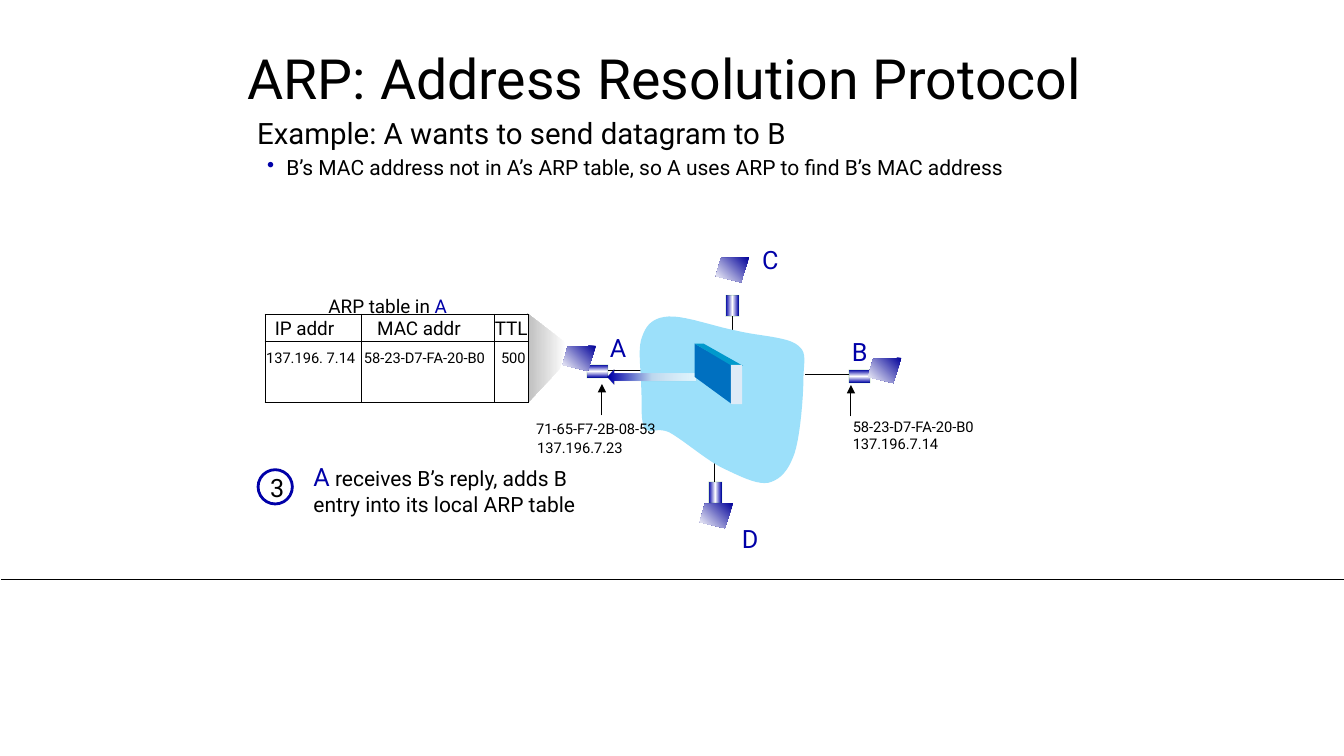
from dataclasses import dataclass

from lxml.etree import SubElement
from pptx import Presentation
from pptx.dml.color import RGBColor
from pptx.enum.shapes import MSO_CONNECTOR, MSO_SHAPE as Preset
from pptx.enum.text import MSO_ANCHOR as Anchor, PP_ALIGN as Align
from pptx.oxml.ns import qn
from pptx.util import Inches, Pt

BLACK = RGBColor(0x00, 0x00, 0x00)
WHITE = RGBColor(0xFF, 0xFF, 0xFF)
NAVY = RGBColor(0x00, 0x00, 0xA8)
MONITOR_BLUE = RGBColor(0x00, 0x00, 0x99)
GREEN = RGBColor(0x00, 0x80, 0x00)
CLOUD_BLUE = RGBColor(0x9C, 0xE0, 0xFA)
PALE_BLUE = RGBColor(0xBD, 0xD7, 0xEE)
ICE_BLUE = RGBColor(0xDE, 0xEB, 0xF7)
FRONT_BLUE = RGBColor(0x00, 0x70, 0xC0)
TOP_BLUE = RGBColor(0x00, 0x99, 0xCC)
GRAY = RGBColor(0xBF, 0xBF, 0xBF)
FONT = "Roboto"

Point = tuple[float, float]
Box = tuple[float, float, float, float]


@dataclass
class Stop:
    percent: int
    color: RGBColor
    alpha: int = 100


@dataclass
class Gradient:
    stops: list[Stop]
    angle: int = 0  # clockwise degrees


@dataclass
class Wire:
    start: Point
    end: Point
    width: float = 0.75
    arrow: bool = False


@dataclass
class Host:
    name: str
    name_at: Point
    monitor_at: Point
    adapter_at: Point
    adapter_turn: int


@dataclass
class Label:
    text: str
    at: Box


ADAPTER_FILL = Gradient([Stop(0, NAVY), Stop(50, WHITE), Stop(99, NAVY)])
MONITOR_FILL = Gradient([Stop(0, MONITOR_BLUE), Stop(100, WHITE)], 135)
ZOOM_FILL = Gradient([Stop(0, WHITE), Stop(99, GRAY)], 180)
ARROW_FILL = Gradient([Stop(0, WHITE, 68), Stop(50, PALE_BLUE), Stop(98, NAVY)])

WIRES = [
    Wire((0.01, 5.75), (13.33, 5.75), 0.5),
    Wire((5.81, 3.68), (6.55, 3.68)),
    Wire((7.27, 2.93), (7.27, 3.47)),
    Wire((7.09, 4.89), (7.09, 4.53)),
    Wire((8.64, 3.72), (7.98, 3.72)),
    Wire((8.44, 4.13), (8.44, 3.82), arrow=True),
    Wire((5.97, 4.12), (5.97, 3.81), arrow=True),
]
HOSTS = [
    Host("C", (7.46, 2.37), (7.1, 2.55), (7.2, 2.93), 0),
    Host("D", (7.26, 5.14), (6.94, 4.99), (7.03, 4.78), 0),
    Host("B", (8.35, 3.29), (8.61, 3.55), (8.46, 3.63), 90),
    Host("A", (5.95, 3.25), (5.58, 3.43), (5.86, 3.58), 90),
]
ADDRESSES = [
    Label("58-23-D7-FA-20-B0", (8.36, 4.1, 1.5, 0.28)),
    Label("137.196.7.14", (8.36, 4.26, 1.06, 0.28)),
    Label("71-65-F7-2B-08-53", (5.22, 4.12, 1.46, 0.28)),
    Label("137.196.7.23", (5.23, 4.3, 1.06, 0.28)),
]
MONITOR = [(0.33, 0), (0.05, 0.01), (0, 0.19), (0.25, 0.25)]
CLOUD_START = (6.63, 3.14)
CLOUD_CURVES = [
    ((6.48, 3.15), (6.41, 3.22), (6.37, 3.34)),
    ((6.32, 3.45), (6.36, 3.68), (6.36, 3.83)),
    ((6.37, 3.98), (6.35, 4.16), (6.39, 4.24)),
    ((6.44, 4.32), (6.51, 4.23), (6.64, 4.29)),
    ((6.77, 4.36), (7, 4.56), (7.16, 4.64)),
    ((7.33, 4.72), (7.5, 4.81), (7.62, 4.79)),
    ((7.74, 4.76), (7.82, 4.67), (7.88, 4.5)),
    ((7.94, 4.32), (7.97, 3.91), (7.97, 3.72)),
    ((7.98, 3.54), (8, 3.48), (7.89, 3.41)),
    ((7.78, 3.34), (7.5, 3.33), (7.3, 3.28)),
    ((7.09, 3.24), (6.79, 3.13), CLOUD_START),
]


def paint(shape, fill: RGBColor | Gradient) -> None:
    shape.shadow.inherit = False
    shape.line.fill.background()
    if isinstance(fill, RGBColor):
        shape.fill.solid()
        shape.fill.fore_color.rgb = fill
        return
    shape.fill.gradient()
    shape.fill.gradient_angle = -fill.angle % 360
    stops = shape.element.spPr.find(".//" + qn("a:gsLst"))
    stops.clear()
    for stop in fill.stops:
        mark = SubElement(stops, qn("a:gs"), pos=str(stop.percent * 1000))
        color = SubElement(mark, qn("a:srgbClr"), val=str(stop.color))
        if stop.alpha < 100:
            SubElement(color, qn("a:alpha"), val=str(stop.alpha * 1000))


def outline(shape, color: RGBColor, width: float) -> None:
    shape.line.color.rgb = color
    shape.line.width = Pt(width)


def add_preset(page, preset, at: Box, fill, turn: int = 0):
    shape = page.shapes.add_shape(preset, *map(Inches, at))
    shape.rotation = turn
    paint(shape, fill)
    return shape


def add_outline(page, points: list[Point], fill) -> None:
    corners = [(Inches(x), Inches(y)) for x, y in points]
    builder = page.shapes.build_freeform(*corners[0])
    builder.add_line_segments(corners[1:], close=True)
    paint(builder.convert_to_shape(), fill)


def trace_curves(start: Point, curves, steps: int = 10) -> list[Point]:
    points = [start]
    for first, second, end in curves:
        for step in range(1, steps + 1):
            t = step / steps
            weights = ((1 - t) ** 3, 3 * t * (1 - t) ** 2, 3 * t * t * (1 - t), t ** 3)
            points.append(tuple(sum(w * p[axis] for w, p in zip(weights, (start, first, second, end)))
                                for axis in (0, 1)))
        start = end
    return points


def add_wire(page, wire: Wire) -> None:
    line = page.shapes.add_connector(MSO_CONNECTOR.STRAIGHT, *map(Inches, wire.start + wire.end))
    outline(line, BLACK, wire.width)
    properties = line.element.spPr
    if wire.arrow:
        SubElement(properties.find(qn("a:ln")), qn("a:tailEnd"), type="triangle")
    SubElement(properties, qn("a:effectLst"))


def add_span(para, text: str, *, size: float, color: RGBColor = BLACK) -> None:
    span = para.add_run()
    span.text = text
    span.font.name, span.font.size, span.font.color.rgb = FONT, Pt(size), color


def add_text(page, at: Box, text: str, *, size: float, color: RGBColor = BLACK,
             align=Align.LEFT, wrap: bool = False, anchor=Anchor.TOP):
    frame = page.shapes.add_textbox(*map(Inches, at)).text_frame
    frame.word_wrap, frame.vertical_anchor = wrap, anchor
    para = frame.paragraphs[0]
    para.alignment = align
    add_span(para, text, size=size, color=color)
    return frame


def add_host(page, host: Host) -> None:
    adapter = add_preset(page, Preset.RECTANGLE, (*host.adapter_at, 0.13, 0.21), ADAPTER_FILL, host.adapter_turn)
    outline(adapter, GREEN, 0.75)
    line_color = adapter.element.spPr.find(qn("a:ln")).find(".//" + qn("a:srgbClr"))
    SubElement(line_color, qn("a:alpha"), val="15000")
    left, top = host.monitor_at
    add_outline(page, [(left + x, top + y) for x, y in MONITOR], MONITOR_FILL)
    add_text(page, (*host.name_at, 0.38, 0.4), host.name, size=18, color=NAVY)


def format_cell(cell, text: str, *, size: float, align, margins: Box, borders: dict[str, float]) -> None:
    cell.margin_left, cell.margin_top, cell.margin_right, cell.margin_bottom = map(Inches, margins)
    cell.fill.solid()
    cell.fill.fore_color.rgb = WHITE
    para = cell.text_frame.paragraphs[0]
    para.alignment = align
    add_span(para, text, size=size)
    properties = cell._tc.get_or_add_tcPr()
    for place, (side, width) in enumerate(borders.items()):
        line = SubElement(properties, qn(f"a:ln{side}"), w=str(Pt(width)))
        SubElement(SubElement(line, qn("a:solidFill")), qn("a:srgbClr"), val=str(BLACK))
        properties.insert(place, line)


def add_arp_table(page) -> None:
    rows = [["IP addr", "MAC addr", "TTL"], ["137.196. 7.14", "58-23-D7-FA-20-B0", "500"]]
    widths, heights = [0.95, 1.32, 0.34], [0.26, 0.61]
    header_right, entry_left = [0.17, 0.17, 0], [0.01, 0.03, 0.07]
    table = page.shapes.add_table(2, 3, *map(Inches, (2.63, 3.12, sum(widths), sum(heights)))).table
    table.first_row = table.horz_banding = False
    for row, height in zip(table.rows, heights):
        row.height = Inches(height)
    for column, width in enumerate(widths):
        table.columns[column].width = Inches(width)
        borders = {"L": 0.5 if column else 1, "R": 0.5 if column < 2 else 1, "T": 1, "B": 1}
        format_cell(table.cell(0, column), rows[0][column], size=13.5, align=Align.CENTER,
                    margins=(0, 0.04, header_right[column], 0), borders=borders)
        format_cell(table.cell(1, column), rows[1][column], size=10.5, align=Align.LEFT,
                    margins=(entry_left[column], 0.09, 0, 0), borders=borders)


def add_heading(page) -> None:
    title = add_text(page, (2.28, 0.44, 8.62, 0.73), "ARP: Address Resolution Protocol", size=39.6,
                     align=Align.CENTER, wrap=True, anchor=Anchor.MIDDLE)
    body = add_text(page, (2.48, 1.14, 8.26, 0.78), "Example: A wants to send datagram to B", size=21, wrap=True)
    body.margin_left = body.margin_right = Inches(0.07)
    body.margin_top = body.margin_bottom = Inches(0.04)
    point = body.add_paragraph()
    properties = point._p.get_or_add_pPr()
    properties.set("marL", str(Inches(0.29)))
    properties.set("indent", str(Inches(-0.19)))
    SubElement(SubElement(properties, qn("a:buClr")), qn("a:srgbClr"), val=str(NAVY))
    SubElement(properties, qn("a:buChar"), char="•")
    point.space_before = Pt(5)
    add_span(point, "B’s MAC address not in A’s ARP table, so A uses ARP to find B’s MAC address", size=15)
    for para in (title.paragraphs[0], *body.paragraphs):
        para.line_spacing = 0.9


def add_step(page) -> None:
    step = add_text(page, (2.82, 4.53, 3.2, 0.66), "A", size=18, color=NAVY, wrap=True).paragraphs[0]
    step._p.get_or_add_pPr().set("marL", str(Inches(0.19)))
    add_span(step, " receives B’s reply, adds B entry into its local ARP table", size=15)
    circle = add_preset(page, Preset.OVAL, (2.56, 4.66, 0.34, 0.34), WHITE)
    outline(circle, NAVY, 2)
    add_text(page, (2.58, 4.64, 0.34, 0.4), "3", size=18)


def main() -> None:
    deck = Presentation()
    deck.slide_width, deck.slide_height = Inches(13.33), Inches(7.5)
    page = deck.slides.add_slide(deck.slide_layouts[6])
    add_heading(page)

    # Network: wires run under the cloud
    for wire in WIRES:
        add_wire(page, wire)
    add_outline(page, trace_curves(CLOUD_START, CLOUD_CURVES), CLOUD_BLUE)
    for host in HOSTS:
        add_host(page, host)
    for label in ADDRESSES:
        add_text(page, label.at, label.text, size=10.5)

    # ARP table, zoomed out of host A
    add_outline(page, [(5.62, 3.41), (5.23, 3.11), (5.24, 3.99), (5.55, 3.66)], ZOOM_FILL)
    add_arp_table(page)
    caption = add_text(page, (2.7, 2.87, 2.29, 0.33), "ARP table in ", size=13.5, align=Align.CENTER, wrap=True)
    add_span(caption.paragraphs[0], "A", size=13.5, color=NAVY)
    add_step(page)

    # Reply frame travelling to A
    add_preset(page, Preset.RIGHT_ARROW, (6.03, 3.67, 0.87, 0.14), ARROW_FILL, 180)
    add_outline(page, [(6.89, 3.41), (6.89, 3.74), (7.26, 4.01), (7.26, 3.62)], FRONT_BLUE)
    add_outline(page, [(6.98, 3.41), (6.89, 3.41), (7.26, 3.63), (7.37, 3.63)], TOP_BLUE)
    add_preset(page, Preset.RECTANGLE, (7.25, 3.62, 0.11, 0.39), ICE_BLUE)
    deck.save("out.pptx")


if __name__ == "__main__":
    main()
